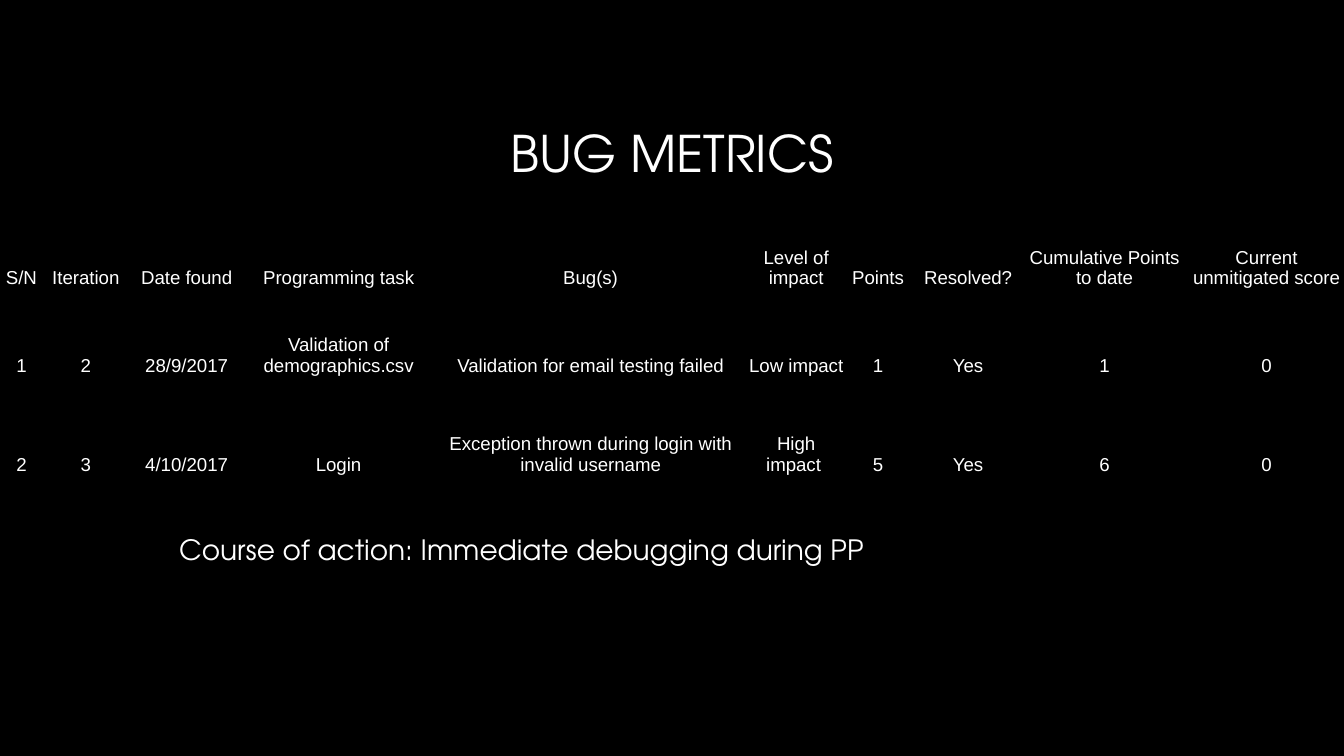
import pptx
import pptx.dml.color
import pptx.enum.text
import pptx.oxml.ns
import pptx.util
from lxml import etree

Pt = pptx.util.Pt
PP_ALIGN = pptx.enum.text.PP_ALIGN
MSO_ANCHOR = pptx.enum.text.MSO_ANCHOR

BLACK = pptx.dml.color.RGBColor(0, 0, 0)
WHITE = pptx.dml.color.RGBColor(255, 255, 255)
HEADING_FONT = "TeX Gyre Adventor"
TABLE_FONT = "Arial"
NO_GRID_STYLE = "{2D5ABB26-0587-4C30-8999-92F81FD0307C}"

COLUMN_WIDTHS = [23, 46, 62, 100.8, 169.2, 51.1, 36.7, 59.8, 86.4, 87.1]
ROW_HEIGHTS = [39.6, 46.8, 53.3]
BUGS = [
    ["S/N", "Iteration", "Date found", "Programming task", "Bug(s)",
     "Level of impact", "Points", "Resolved?", "Cumulative Points to date",
     "Current unmitigated score"],
    ["1", "2", "28/9/2017", "Validation of demographics.csv",
     "Validation for email testing failed", "Low impact ", "1", "Yes", "1", "0"],
    ["2", "3", "4/10/2017", "Login",
     "Exception thrown during login with invalid username", "High impact ",
     "5", "Yes", "6", "0"],
]


def write(tf, text, font, size, align):
    """Set the text of a frame as one formatted paragraph."""
    tf.text = text
    p = tf.paragraphs[0]
    p.alignment = align
    for r in p.runs:
        r.font.name = font
        r.font.size = Pt(size)
        r.font.bold = False
        r.font.color.rgb = WHITE
    return p


def set_margins(frame, margin):
    """Give a text frame or cell the same margin on all sides."""
    frame.margin_left = frame.margin_right = Pt(margin)
    frame.margin_top = frame.margin_bottom = Pt(margin)


def fill_placeholder(sp, top, height, text, size, align, anchor, spacing):
    """Place a placeholder and write its text."""
    sp.left, sp.top, sp.width, sp.height = Pt(54), Pt(top), Pt(612), Pt(height)
    tf = sp.text_frame
    tf.word_wrap = True
    tf.auto_size = pptx.enum.text.MSO_AUTO_SIZE.NONE
    tf.vertical_anchor = anchor
    set_margins(tf, 5)
    p = write(tf, text, HEADING_FONT, size, align)
    p.line_spacing = spacing
    p.space_before = Pt(0)
    return p


def indent_without_bullet(p, indent):
    """Indent a paragraph and remove its bullet."""
    props = p._p.get_or_add_pPr()
    props.set("marL", str(Pt(indent)))
    props.set("indent", "0")
    etree.SubElement(props, pptx.oxml.ns.qn("a:buNone"))


def add_bug_table(s):
    """Add the table of bugs, without grid or banding."""
    table = s.shapes.add_table(
        len(BUGS), len(COLUMN_WIDTHS), Pt(0), Pt(115.2),
        Pt(sum(COLUMN_WIDTHS)), Pt(sum(ROW_HEIGHTS))).table
    table.first_row = table.horz_banding = False
    style = table._tbl.tblPr.find(pptx.oxml.ns.qn("a:tableStyleId"))
    style.text = NO_GRID_STYLE
    for column, width in zip(table.columns, COLUMN_WIDTHS):
        column.width = Pt(width)
    for row, height, texts in zip(table.rows, ROW_HEIGHTS, BUGS):
        row.height = Pt(height)
        for cell, text in zip(row.cells, texts):
            cell.fill.background()
            cell.vertical_anchor = MSO_ANCHOR.BOTTOM
            set_margins(cell, 0)
            write(cell.text_frame, text, TABLE_FONT, 10, PP_ALIGN.CENTER)


def main():
    """Build the bug metrics slide."""
    prs = pptx.Presentation()
    prs.slide_width, prs.slide_height = Pt(720), Pt(405)
    s = prs.slides.add_slide(prs.slide_layouts[1])
    s.background.fill.solid()
    s.background.fill.fore_color.rgb = BLACK
    fill_placeholder(s.shapes.title, 36.7, 94.3, "BUG METRICS", 27,
                     PP_ALIGN.CENTER, MSO_ANCHOR.MIDDLE, 0.9)
    p = fill_placeholder(s.placeholders[1], 276.5, 65.5,
                         "Course of action: Immediate debugging during PP",
                         15, PP_ALIGN.LEFT, MSO_ANCHOR.TOP, 1.2)
    indent_without_bullet(p, 37)
    add_bug_table(s)
    prs.save("out.pptx")


if __name__ == "__main__":
    main()
